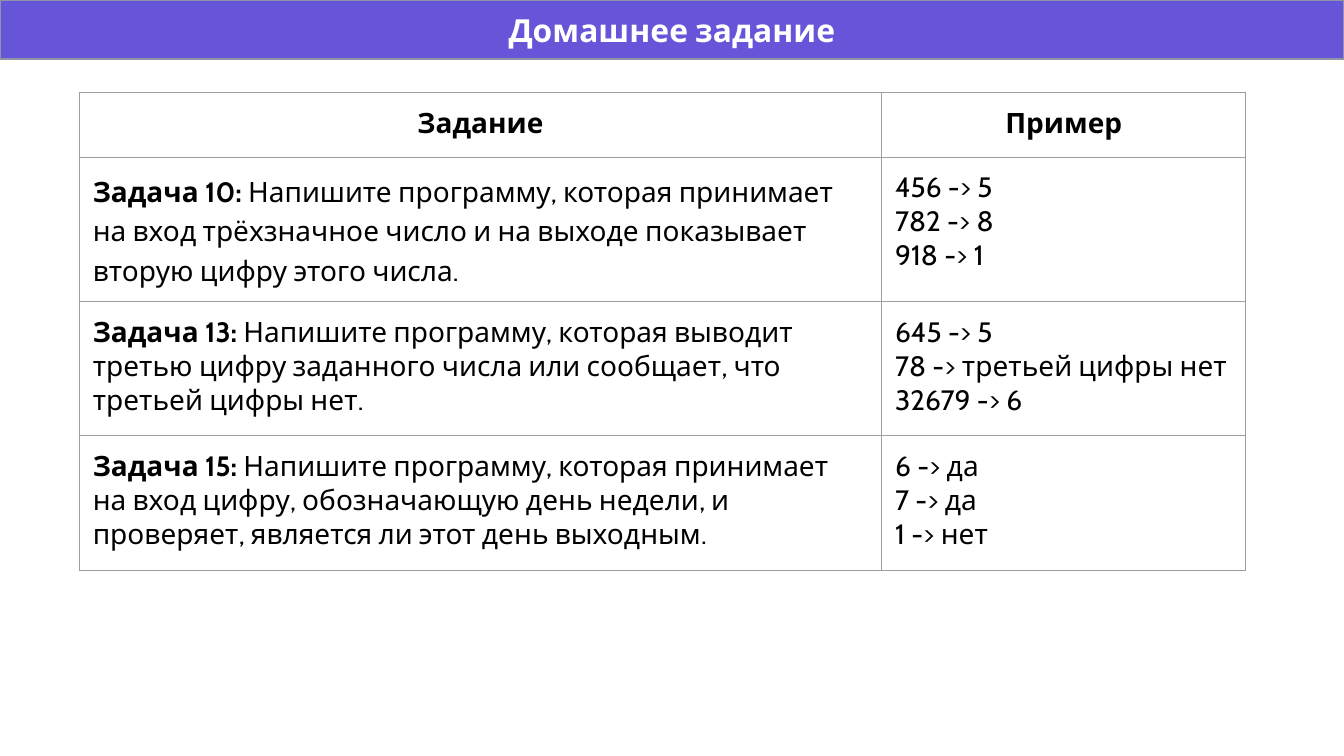
from pptx import Presentation
from pptx.dml.color import RGBColor
from pptx.enum.shapes import MSO_SHAPE as Shape
from pptx.enum.text import MSO_ANCHOR as Anchor, PP_ALIGN as Align
from pptx.oxml import parse_xml
from pptx.oxml.ns import nsdecls
from pptx.util import Inches, Pt

WIDTH = Inches(10)
HEIGHT = WIDTH * 9 // 16
FONT = "Cabin"
INSET = Inches(0.1)
MARGINS = {f"margin_{side}": INSET for side in ("left", "right", "top", "bottom")}
COLUMN_WIDTHS = (5.97, 2.71)
ROW_HEIGHTS = (0.48, 0.48, 1, 1)
LOOSE = {"line_spacing": 1.15, "space_before": Pt(12), "space_after": Pt(12)}
HEADINGS = ("Задание", "Пример")
TASKS = (
    ("Задача 10: ",
     "Напишите программу, которая принимает на вход трёхзначное число "
     "и на выходе показывает вторую цифру этого числа.",
     ("456 -> 5", "782 -> 8", "918 -> 1"), LOOSE),
    ("Задача 13: ",
     "Напишите программу, которая выводит третью цифру заданного числа "
     "или сообщает, что третьей цифры нет.",
     ("645 -> 5", "78 -> третьей цифры нет", "32679 -> 6"), {}),
    ("Задача 15: ",
     "Напишите программу, которая принимает на вход цифру, обозначающую "
     "день недели, и проверяет, является ли этот день выходным.",
     ("6 -> да", "7 -> да", "1 -> нет"), {}),
)


def color(hex_value):
    """Turn a hex string into a colour."""
    return RGBColor.from_string(hex_value)


def apply(target, formats):
    """Set each attribute of the target from a dict."""
    for name, value in formats.items():
        setattr(target, name, value)


def write(frame, paragraphs, size=15, ink="000000", **formats):
    """Fill a text frame with paragraphs made of (text, bold) runs."""
    for index, runs in enumerate(paragraphs):
        paragraph = frame.add_paragraph() if index else frame.paragraphs[0]
        apply(paragraph, formats)
        for text, bold in runs:
            run = paragraph.add_run()
            run.text = text
            apply(run.font, {"name": FONT, "size": Pt(size), "bold": bold})
            run.font.color.rgb = color(ink)


def outline_cell(cell, hex_value="9E9E9E", width=Pt(0.75)):
    """Draw the four borders of a table cell."""
    properties = cell._tc.get_or_add_tcPr()
    for index, side in enumerate("LRTB"):
        properties.insert(index, parse_xml(
            f'<a:ln{side} {nsdecls("a")} w="{width}"><a:solidFill>'
            f'<a:srgbClr val="{hex_value}"/></a:solidFill></a:ln{side}>'))


def add_title_band(slide, left, top, width, height):
    """Place the title band in the given box."""
    band = slide.shapes.add_shape(Shape.RECTANGLE, left, top, width, height)
    band.shadow.inherit = False
    band.fill.solid()
    band.fill.fore_color.rgb = color("6654D9")
    band.line.color.rgb = color("8F93A3")
    band.line.width = Pt(0.75)
    apply(band.text_frame, {**MARGINS, "vertical_anchor": Anchor.MIDDLE, "word_wrap": True})
    write(band.text_frame, [[("Домашнее задание", True)]], 17, "FFFFFF", alignment=Align.CENTER)


def add_task_table(slide, left, top, width, height):
    """Place the homework table in the given box; its rows grow with their text."""
    table = slide.shapes.add_table(
        len(TASKS) + 1, len(HEADINGS), left, top, width, height).table
    apply(table, {"first_row": False, "horz_banding": False})
    for column, share in zip(table.columns, COLUMN_WIDTHS):
        column.width = int(width * share / sum(COLUMN_WIDTHS))
    for row, row_height in zip(table.rows, ROW_HEIGHTS):
        row.height = Inches(row_height)
    for cell in table.iter_cells():
        apply(cell, MARGINS)
        cell.fill.background()
        outline_cell(cell)
    for index, heading in enumerate(HEADINGS):
        write(table.cell(0, index).text_frame, [[(heading, True)]], alignment=Align.CENTER)
    for index, (label, task, examples, spacing) in enumerate(TASKS, 1):
        write(table.cell(index, 0).text_frame, [[(label, True), (task, False)]], **spacing)
        write(table.cell(index, 1).text_frame, [[(example, False)] for example in examples])


def main():
    """Build and save the homework slide."""
    deck = Presentation()
    apply(deck, {"slide_width": WIDTH, "slide_height": HEIGHT})
    slide = deck.slides.add_slide(deck.slide_layouts[6])
    add_title_band(slide, 0, 0, WIDTH, Inches(0.44))
    add_task_table(slide, Inches(0.59), Inches(0.69), Inches(8.68), Inches(3.53))
    deck.save("out.pptx")


if __name__ == "__main__":
    main()
